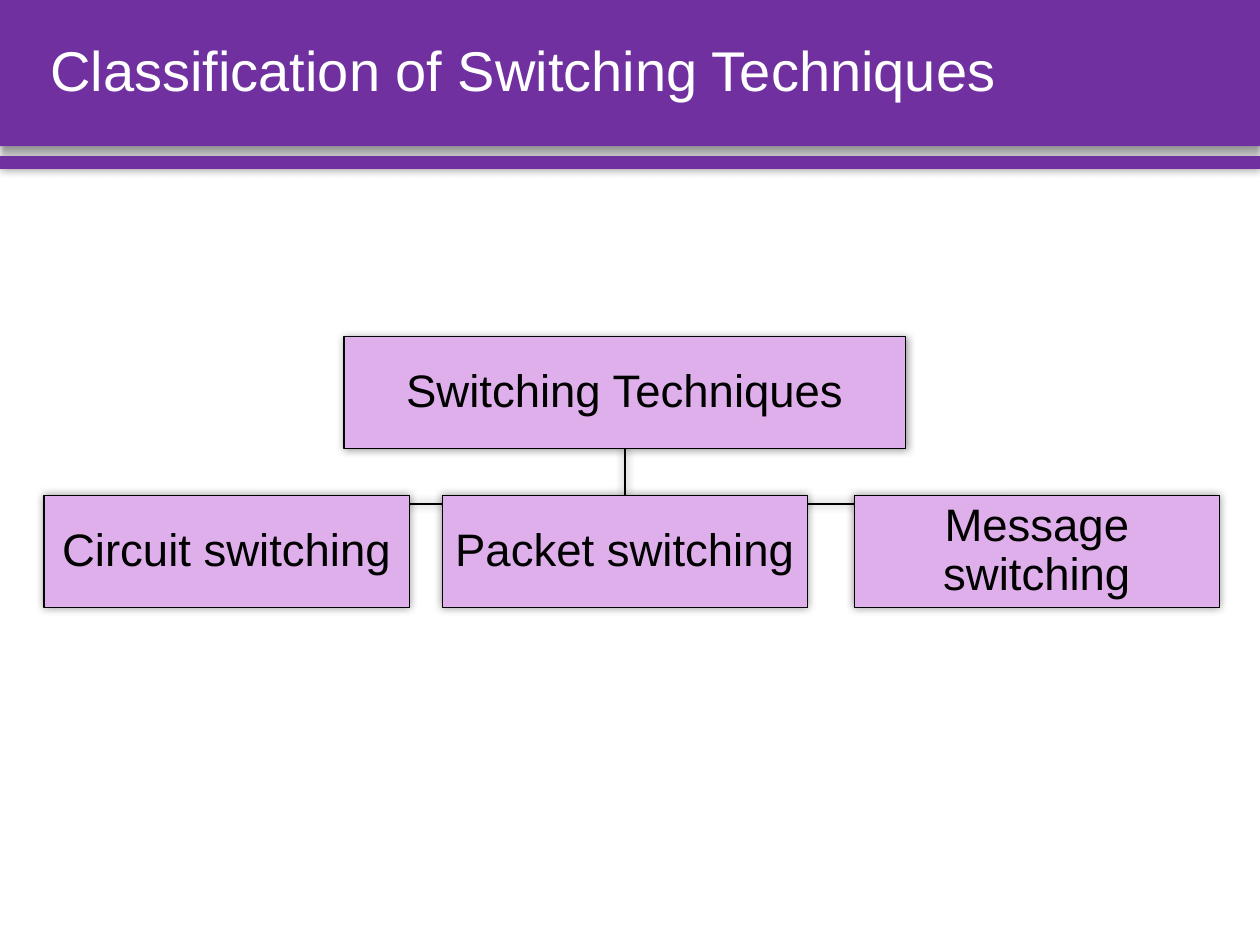
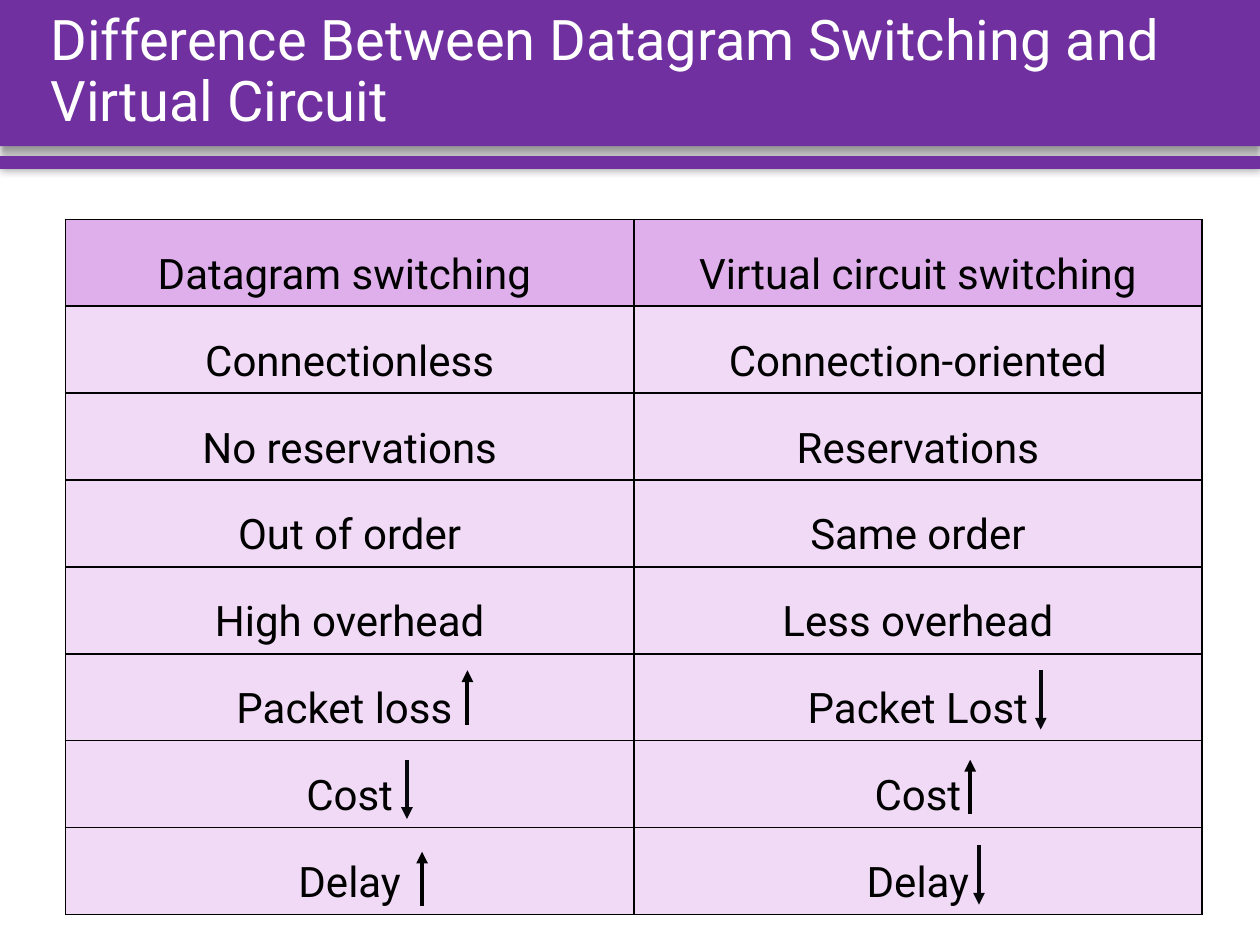
from lxml.etree import SubElement
from pptx import Presentation
from pptx.dml.color import RGBColor
from pptx.enum.shapes import MSO_CONNECTOR as CONNECTOR, MSO_SHAPE as SHAPE
from pptx.enum.text import MSO_ANCHOR as ANCHOR, MSO_AUTO_SIZE as AUTO_SIZE, PP_ALIGN as ALIGN
from pptx.oxml.ns import qn
from pptx.util import Inches, Pt

COLORS = {"band": "7030A0", "strong": "DEAFEB", "pale": "F0DAF6",
          "ink": "000000", "down": "07080B", "white": "FFFFFF"}

TREE_TITLE = "Classification of Switching Techniques"
TREE_ROOT = "Switching Techniques"
TREE_LEAVES = [("Circuit switching", 1.8), ("Packet switching", 4.96), ("Message switching", 8.23)]

TABLE_TITLE = "Difference Between Datagram Switching and Virtual Circuit"
TABLE_ROWS = [
    ("Datagram switching ", "Virtual circuit switching"),
    ("Connectionless", "Connection-oriented"),
    ("No reservations", "Reservations"),
    ("Out of order", "Same order"),
    ("High overhead", "Less overhead"),
    ("Packet loss ", "Packet Lost"),
    ("Cost", "Cost"),
    ("Delay", "Delay"),
]
TREND_ARROWS = [
    ("up", 3.71, 5.32), ("down", 8.26, 5.32),
    ("down", 3.23, 6.03), ("up", 7.7, 6.03),
    ("up", 3.35, 6.76), ("down", 7.77, 6.71),
]
ARROW_LENGTH = {"up": 0.43, "down": 0.47}

WIDTH, HEIGHT = 10, 7.5
BANDS = [(0, 1.16, (4, 3, 90)), (1.24, 0.1, (5, 0, 0))]
GLOW = (5, 0, 0)
ROOT_CENTER, ROOT_TOP, ROOT_WIDTH = 4.96, 2.67, 4.46
LEAF_TOP, LEAF_WIDTH, NODE_HEIGHT = 3.93, 2.9, 0.89
TABLE_LEFT, TABLE_TOP, COLUMN_WIDTH, ROW_HEIGHT = 0.52, 1.74, 4.51, 0.69


def color(name):
    return RGBColor.from_string(COLORS[name])


def place(shape, left, top, width, height):
    shape.left, shape.top = Inches(left), Inches(top)
    shape.width, shape.height = Inches(width), Inches(height)


def add_effects(shape, shadow=None):
    effects = SubElement(shape.element.spPr, qn("a:effectLst"))
    if shadow:
        blur, distance, angle = shadow
        outer = SubElement(effects, qn("a:outerShdw"), blurRad=str(Pt(blur)),
                           dist=str(Pt(distance)), dir=str(angle * 60000), rotWithShape="0")
        tint = SubElement(outer, qn("a:srgbClr"), val=COLORS["ink"])
        SubElement(tint, qn("a:alpha"), val="40000")


def set_line(shape, width, name="ink"):
    shape.line.width = Pt(width)
    shape.line.color.rgb = color(name)


def set_text(frame, text, size, font, name, align, spacing):
    frame.text = text
    paragraph = frame.paragraphs[0]
    paragraph.alignment, paragraph.line_spacing = align, spacing
    paragraph.font.size, paragraph.font.name = Pt(size), font
    paragraph.font.color.rgb = color(name)


def add_box(slide, left, top, width, height, fill, shadow):
    box = slide.shapes.add_shape(SHAPE.RECTANGLE, *map(Inches, (left, top, width, height)))
    box.fill.solid()
    box.fill.fore_color.rgb = color(fill)
    box.line.fill.background()
    add_effects(box, shadow)
    return box


def add_straight(slide, start, end, width, name="ink", shadow=None):
    line = slide.shapes.add_connector(CONNECTOR.STRAIGHT, *map(Inches, (*start, *end)))
    set_line(line, width, name)
    add_effects(line, shadow)
    return line


def add_page(deck, layout, title, font):
    page = deck.slides.add_slide(layout)
    set_text(page.shapes.title.text_frame, title, 32, font, "white", ALIGN.LEFT, 0.9)
    return page


def style_layout(layout, page):
    for index, (top, height, shadow) in enumerate(BANDS):
        band = add_box(page, 0, top, WIDTH, height, "band", shadow)
        layout.element.cSld.spTree.insert(2 + index, band.element)
    title = layout.placeholders[0]
    place(title, 0.3, 0, 9.46, 1.16)
    title.text_frame.vertical_anchor = ANCHOR.MIDDLE
    title.text_frame.auto_size = AUTO_SIZE.NONE


def add_node(page, text, center, top, width):
    node = add_box(page, center - width / 2, top, width, NODE_HEIGHT, "strong", GLOW)
    set_line(node, 0.75)
    frame = node.text_frame
    frame.word_wrap, frame.vertical_anchor = True, ANCHOR.MIDDLE
    frame.margin_left = frame.margin_right = frame.margin_top = frame.margin_bottom = Inches(0.02)
    set_text(frame, text, 26, "Arial", "ink", ALIGN.CENTER, 0.9)


def add_branch(page, center):
    start = ROOT_TOP + NODE_HEIGHT
    if center == ROOT_CENTER:
        add_straight(page, (center, start), (center, LEAF_TOP), 1.5, shadow=GLOW)
        return
    middle = (start + LEAF_TOP) / 2
    builder = page.shapes.build_freeform(ROOT_CENTER, start, scale=Inches(1))
    builder.add_line_segments([(ROOT_CENTER, middle), (center, middle), (center, LEAF_TOP)], close=False)
    branch = builder.convert_to_shape()
    branch.fill.background()
    set_line(branch, 1.5)
    add_effects(branch, GLOW)


def draw_tree(page):
    for text, center in TREE_LEAVES:
        add_branch(page, center)
    add_node(page, TREE_ROOT, ROOT_CENTER, ROOT_TOP, ROOT_WIDTH)
    for text, center in TREE_LEAVES:
        add_node(page, text, center, LEAF_TOP, LEAF_WIDTH)


def style_cell(cell, text, fill):
    set_text(cell.text_frame, text, 24, "Roboto", "ink", ALIGN.CENTER, 1.5)
    properties = cell._tc.get_or_add_tcPr()
    for side in ("lnL", "lnR", "lnT", "lnB"):
        border = SubElement(properties, qn(f"a:{side}"), w=str(Pt(1)))
        SubElement(SubElement(border, qn("a:solidFill")), qn("a:srgbClr"), val=COLORS["ink"])
    cell.fill.solid()
    cell.fill.fore_color.rgb = color(fill)


def draw_table(page):
    rows, columns = len(TABLE_ROWS), len(TABLE_ROWS[0])
    size = (COLUMN_WIDTH * columns, ROW_HEIGHT * rows)
    table = page.shapes.add_table(rows, columns, *map(Inches, (TABLE_LEFT, TABLE_TOP, *size))).table
    table.horz_banding = False
    for row, texts in enumerate(TABLE_ROWS):
        for column, text in enumerate(texts):
            style_cell(table.cell(row, column), text, "pale" if row else "strong")


def draw_arrows(page):
    for direction, x, top in TREND_ARROWS:
        ends = [(x, top), (x, top + ARROW_LENGTH[direction])]
        if direction == "up":
            ends.reverse()
        arrow = add_straight(page, *ends, 2.25, "ink" if direction == "up" else "down")
        SubElement(arrow.line._get_or_add_ln(), qn("a:tailEnd"), type="triangle")


def main():
    deck = Presentation()
    deck.slide_width, deck.slide_height = Inches(WIDTH), Inches(HEIGHT)
    layout = deck.slide_layouts[5]
    tree_page = add_page(deck, layout, TREE_TITLE, "Arial")
    style_layout(layout, tree_page)
    draw_tree(tree_page)
    table_page = add_page(deck, layout, TABLE_TITLE, "Roboto")
    draw_table(table_page)
    draw_arrows(table_page)
    deck.save("out.pptx")


if __name__ == "__main__":
    main()
